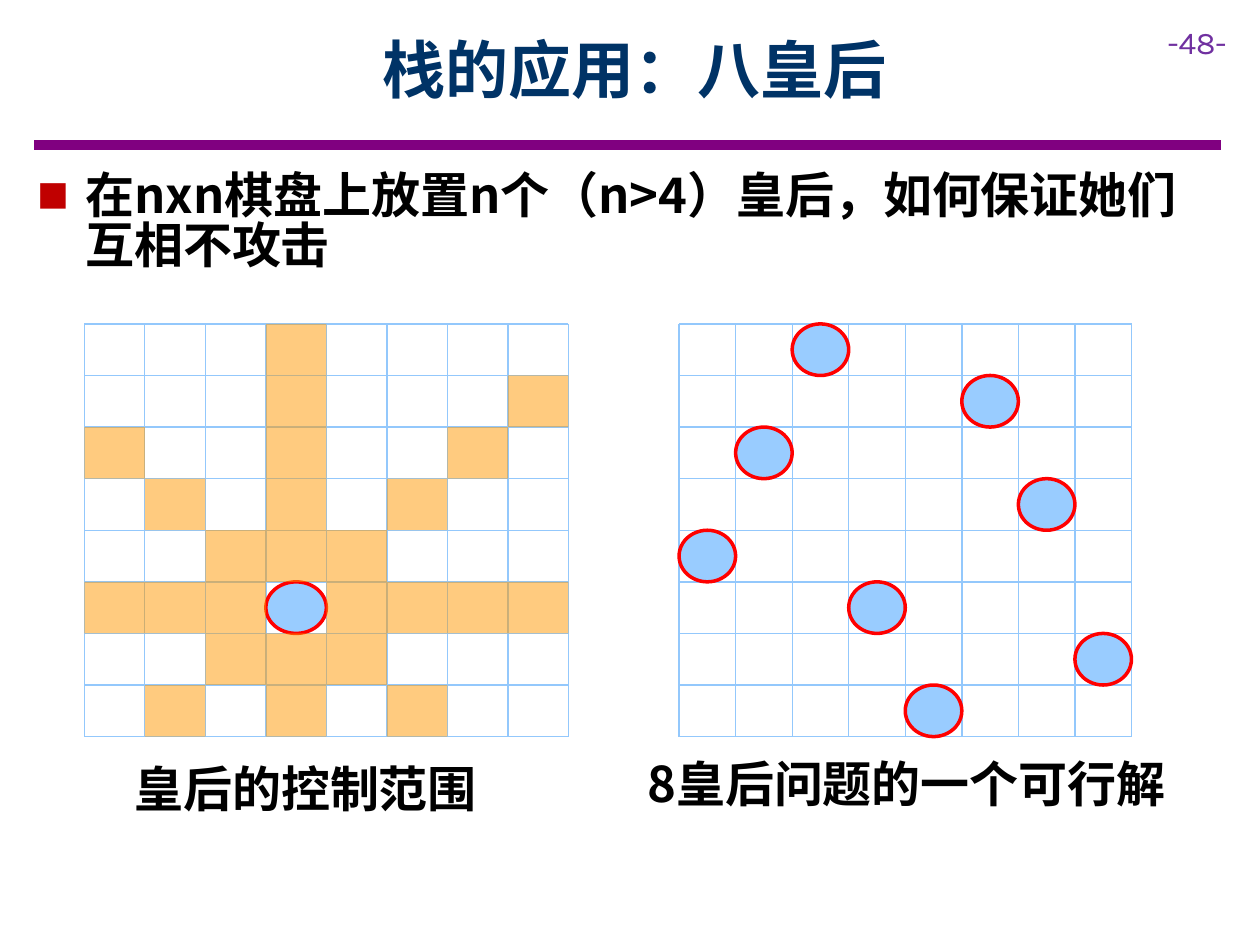
import pptx
import pptx.util
import pptx.dml.color
import pptx.enum.shapes
import pptx.enum.text
import pptx.oxml.ns
import pptx.oxml.xmlchemy

Cm, Pt = pptx.util.Cm, pptx.util.Pt
RGB = pptx.dml.color.RGBColor.from_string
SHAPE = pptx.enum.shapes.MSO_SHAPE
OxmlElement = pptx.oxml.xmlchemy.OxmlElement
qn = pptx.oxml.ns.qn
COLORS = {"rule": "800080", "page": "7030A0", "grid": "93C8FC", "queen": "99CCFF",
          "ring": "FF0000", "attack": "FF9900", "title": "003366", "text": "000000",
          "bullet": "C00000"}
CJK = "Noto Sans CJK SC"
N = 8

prs = pptx.Presentation()
prs.slide_width, prs.slide_height = Cm(25.4), Cm(19.05)
s = prs.slides.add_slide(prs.slide_layouts[6])


def add_line(x1, y1, x2, y2, color, width):
    ln = s.shapes.add_connector(pptx.enum.shapes.MSO_CONNECTOR.STRAIGHT,
                                Cm(x1), Cm(y1), Cm(x2), Cm(y2))
    ln.line.color.rgb = RGB(COLORS[color])
    ln.line.width = Pt(width)
    ln._element.spPr.append(OxmlElement("a:effectLst"))


def add_text(x, y, w, h, text, size, color, font=CJK, spacing=0.85):
    tf = s.shapes.add_textbox(Cm(x), Cm(y), Cm(w), Cm(h)).text_frame
    tf.word_wrap = True
    tf.text = text
    p = tf.paragraphs[0]
    p.line_spacing = spacing
    r = p.runs[0]
    r.font.size, r.font.name = Pt(size), font
    r.font.bold = font == CJK
    r.font.color.rgb = RGB(COLORS[color])
    ea = OxmlElement("a:ea")
    ea.set("typeface", font)
    r._r.get_or_add_rPr().append(ea)
    return p


# Header rule and page number
add_line(0.69, 2.92, 24.61, 2.92, "rule", 6)
add_text(23.29, 0.33, 2.11, 1.02, "-48-", 18, "page", "Karla", 1.0)

# Boards: left edge, cell width, queens as (row, column), whether attacks are marked
top, cell_h = 6.53, 1.04
solution = [2, 5, 1, 6, 0, 3, 7, 4]
boards = [(1.7, 1.22, [(5, 3)], True),
          (13.69, 1.14, list(enumerate(solution)), False)]
for left, cell_w, queens, show_attacks in boards:
    # Grid lines
    right, bottom = left + N * cell_w, top + N * cell_h
    for i in range(N + 1):
        y = top + i * cell_h
        add_line(left, y, right, y, "grid", 0.75)
    for i in range(N + 1):
        x = left + i * cell_w
        add_line(x, top, x, bottom, "grid", 0.75)

    # Queens, then the cells in their row, column and diagonals
    pieces = [(row, col, True) for row, col in queens]
    if show_attacks:
        qr, qc = queens[0]
        pieces += [(row, col, False) for row in range(N) for col in range(N)
                   if (row, col) != (qr, qc)
                   and (row == qr or col == qc or abs(row - qr) == abs(col - qc))]
    for row, col, is_queen in pieces:
        sp = s.shapes.add_shape(SHAPE.OVAL if is_queen else SHAPE.RECTANGLE,
                                Cm(left + col * cell_w), Cm(top + row * cell_h),
                                Cm(cell_w), Cm(cell_h))
        sp.shadow.inherit = False
        sp.fill.solid()
        sp.fill.fore_color.rgb = RGB(COLORS["queen" if is_queen else "attack"])
        if is_queen:
            sp.line.color.rgb = RGB(COLORS["ring"])
            sp.line.width = Pt(2)
        else:
            sp.line.fill.background()
            alpha = OxmlElement("a:alpha")
            alpha.set("val", "50000")
            sp._element.spPr.find(qn("a:solidFill"))[0].append(alpha)

# Title
p = add_text(2.24, 0.66, 21.11, 2.54, "栈的应用：八皇后", 36, "title", spacing=0.9)
p.alignment = pptx.enum.text.PP_ALIGN.CENTER

# Question with a square bullet
p = add_text(0.51, 3.38, 24.05, 2.64,
             "在nxn棋盘上放置n个（n>4）皇后，如何保证她们互相不攻击", 28, "text")
pPr = p._p.get_or_add_pPr()
pPr.set("marL", str(Cm(0.96)))
pPr.set("indent", str(Cm(-0.96)))
bu_color = OxmlElement("a:buClr")
rgb = OxmlElement("a:srgbClr")
rgb.set("val", COLORS["bullet"])
bu_color.append(rgb)
pPr.append(bu_color)
for tag, key, value in [("a:buSzPct", "val", "65000"), ("a:buFont", "typeface", CJK),
                        ("a:buChar", "char", "■")]:
    el = OxmlElement(tag)
    el.set(key, value)
    pPr.append(el)

# Board captions
add_text(2.46, 15.34, 8.33, 1.45, "皇后的控制范围", 28, "text")
add_text(12.8, 15.24, 11.66, 1.45, "8皇后问题的一个可行解", 28, "text")

prs.save("out.pptx")
